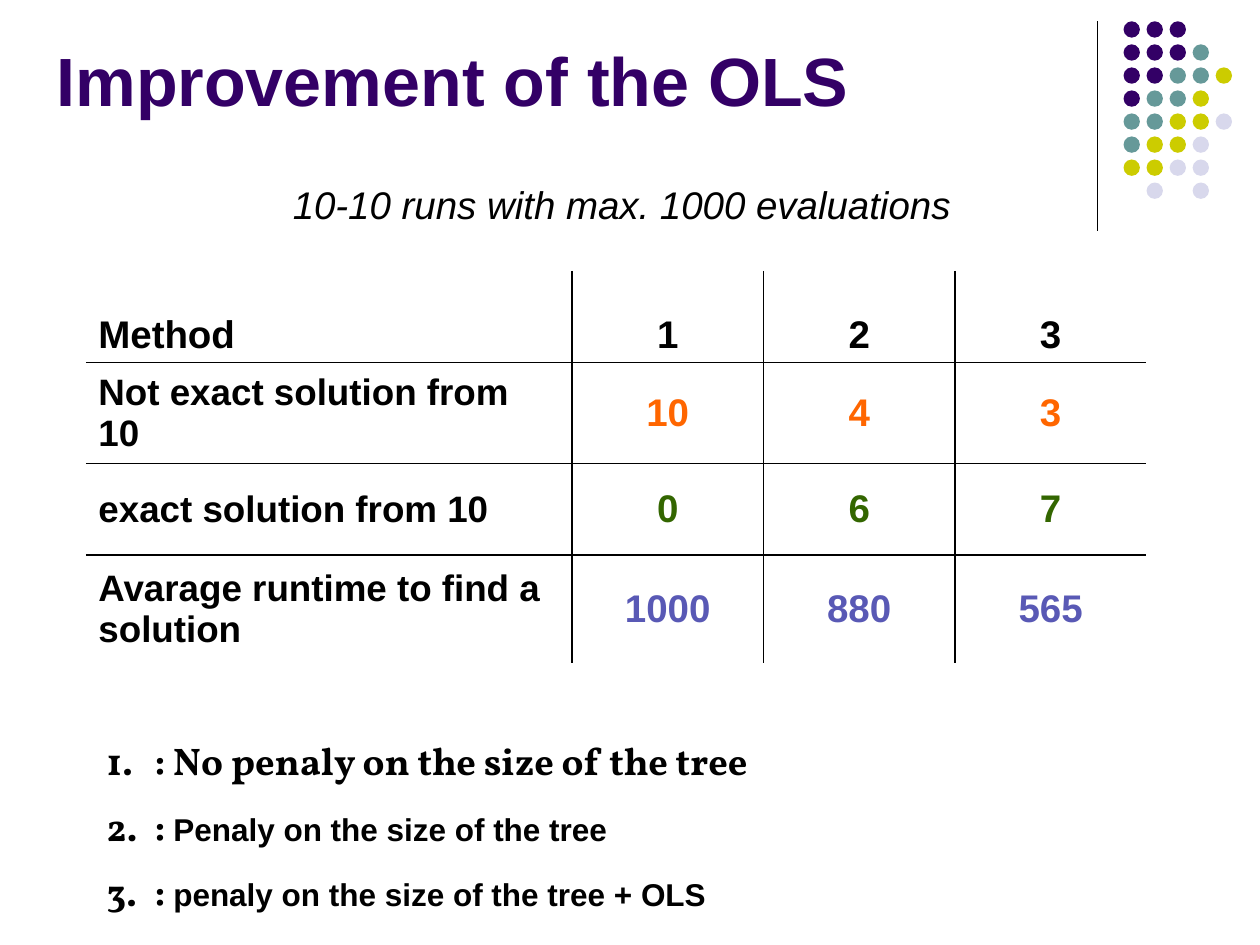
from dataclasses import dataclass

from lxml.etree import SubElement
from pptx import Presentation
from pptx.dml.color import RGBColor
from pptx.enum.shapes import MSO_CONNECTOR, MSO_SHAPE
from pptx.enum.text import MSO_ANCHOR as Anchor, PP_ALIGN as Align
from pptx.oxml.ns import qn
from pptx.util import Cm, Pt


@dataclass(frozen=True)
class Theme:
    sans: str = "Arial"
    serif: str = "Vollkorn"
    black: str = "000000"
    purple: str = "330066"
    teal: str = "669999"
    lime: str = "CCCC00"
    lilac: str = "D8D8EC"
    orange: str = "FF6600"
    green: str = "336600"
    blue: str = "5959B5"
    title: float = 39
    body: float = 22
    label: float = 21
    note: float = 18
    rule: float = 0.75
    grid: float = 1.08


THEME = Theme()

TITLE = "Improvement of the OLS"
SUBTITLE = "10-10 runs with max. 1000 evaluations"
# Row label, values, value colour, row height in cm
RESULTS = [
    ("Method", ["1", "2", "3"], THEME.black, 1.85),
    ("Not exact solution from 10", ["10", "4", "3"], THEME.orange, 2.03),
    ("exact solution from 10", ["0", "6", "7"], THEME.green, 1.85),
    ("Avarage runtime to find a solution", ["1000", "880", "565"], THEME.blue, 2.18),
]
COLUMN_WIDTHS = [9.8, 3.86, 3.86, 3.86]
# Space before, then runs of (text, font, size)
METHODS = [
    (13.8, [(": No penaly on the size of the tree", THEME.serif, THEME.body)]),
    (11.2, [(": ", THEME.serif, THEME.body),
            ("Penaly on the size of the tree", THEME.sans, THEME.note)]),
    (11.2, [(": ", THEME.serif, THEME.body),
            ("penaly on the size of the tree + OLS", THEME.sans, THEME.note)]),
]
DOT_ROWS = ["PPP", "PPPT", "PPTTL", "PTTL", "TTLLF", "TLLF", "LLFF", " F F"]
DOT_COLOURS = {"P": THEME.purple, "T": THEME.teal, "L": THEME.lime, "F": THEME.lilac}
DOT_LEFT, DOT_TOP, DOT_SIZE = 22.65, 0.43, 0.33
DOT_PITCH = 3.25 / (len(DOT_ROWS) - 1)


def add_span(para, text, size, colour=THEME.black, font=THEME.sans, bold=True, italic=False):
    span = para.add_run()
    span.text = text
    style = span.font
    style.name, style.size, style.bold, style.italic = font, Pt(size), bold, italic
    style.color.rgb = RGBColor.from_string(colour)


def add_box(page, left, top, width, height, anchor=Anchor.TOP):
    box = page.shapes.add_textbox(Cm(left), Cm(top), Cm(width), Cm(height))
    frame = box.text_frame
    frame.word_wrap = True
    frame.vertical_anchor = anchor
    return frame


def number(para, indent):
    """Give the paragraph an automatic number in a hanging indent."""
    props = para._p.get_or_add_pPr()
    props.set("marL", str(Cm(indent)))
    props.set("indent", str(-Cm(indent)))
    colour = SubElement(props, qn("a:buClr"))
    SubElement(colour, qn("a:srgbClr"), val=THEME.black)
    SubElement(props, qn("a:buFont"), typeface=THEME.serif)
    SubElement(props, qn("a:buAutoNum"), type="arabicPeriod")


def set_borders(cell, inner_sides):
    """Draw the inner sides of the cell and clear the others."""
    props = cell._tc.get_or_add_tcPr()
    for side in ("L", "R", "T", "B"):
        line = SubElement(props, qn(f"a:ln{side}"), w=str(Pt(THEME.grid)))
        if side in inner_sides:
            fill = SubElement(line, qn("a:solidFill"))
            SubElement(fill, qn("a:srgbClr"), val=THEME.black)
        else:
            SubElement(line, qn("a:noFill"))


def add_dots(page):
    for row, codes in enumerate(DOT_ROWS):
        for column, code in enumerate(codes):
            if code == " ":
                continue
            dot = page.shapes.add_shape(
                MSO_SHAPE.OVAL, Cm(DOT_LEFT + column * DOT_PITCH),
                Cm(DOT_TOP + row * DOT_PITCH), Cm(DOT_SIZE), Cm(DOT_SIZE))
            dot.shadow.inherit = False
            dot.fill.solid()
            dot.fill.fore_color.rgb = RGBColor.from_string(DOT_COLOURS[code])
            dot.line.fill.background()


def add_rule(page):
    rule = page.shapes.add_connector(
        MSO_CONNECTOR.STRAIGHT, Cm(22.12), Cm(0.43), Cm(22.12), Cm(4.65))
    rule.line.color.rgb = RGBColor.from_string(THEME.black)
    rule.line.width = Pt(THEME.rule)
    SubElement(rule._element.spPr, qn("a:effectLst"))


def add_results(page):
    row_count, column_count = len(RESULTS), len(COLUMN_WIDTHS)
    table = page.shapes.add_table(
        row_count, column_count, Cm(1.73), Cm(5.46), Cm(sum(COLUMN_WIDTHS)),
        Cm(sum(height for *_, height in RESULTS))).table
    table.first_row = table.horz_banding = False
    for column, width in zip(table.columns, COLUMN_WIDTHS):
        column.width = Cm(width)
    for r, (label, values, colour, height) in enumerate(RESULTS):
        table.rows[r].height = Cm(height)
        for c, text in enumerate([label, *values]):
            cell = table.cell(r, c)
            cell.vertical_anchor = Anchor.MIDDLE if r else Anchor.BOTTOM
            inner = {"L": c > 0, "R": c < column_count - 1,
                     "T": r > 0, "B": r < row_count - 1}
            set_borders(cell, [side for side, drawn in inner.items() if drawn])
            cell.fill.background()
            para = cell.text_frame.paragraphs[0]
            para.alignment = Align.CENTER if c else Align.LEFT
            size = THEME.label if r and not c else THEME.body
            para.space_before = Pt(size / 4)
            add_span(para, text, size, colour if c else THEME.black)


def add_methods(page):
    frame = add_box(page, 1.9, 14.73, 20.75, 3.84)
    for index, (space, spans) in enumerate(METHODS):
        para = frame.add_paragraph() if index else frame.paragraphs[0]
        para.space_before = Pt(space)
        number(para, 0.97)
        for text, font, size in spans:
            add_span(para, text, size, font=font)


def main():
    deck = Presentation()
    deck.slide_width, deck.slide_height = Cm(25.4), Cm(19.05)
    page = deck.slides.add_slide(deck.slide_layouts[6])

    add_rule(page)
    add_dots(page)
    title = add_box(page, 0.89, -1.07, 20.95, 3.61, Anchor.BOTTOM)
    add_span(title.paragraphs[0], TITLE, THEME.title, THEME.purple)
    add_results(page)
    subtitle = add_box(page, 1.09, 3.53, 22.89, 1.19).paragraphs[0]
    subtitle.alignment = Align.CENTER
    subtitle.space_before = Pt(13.8)
    add_span(subtitle, SUBTITLE, THEME.body, bold=False, italic=True)
    add_methods(page)

    deck.save("out.pptx")


if __name__ == "__main__":
    main()
